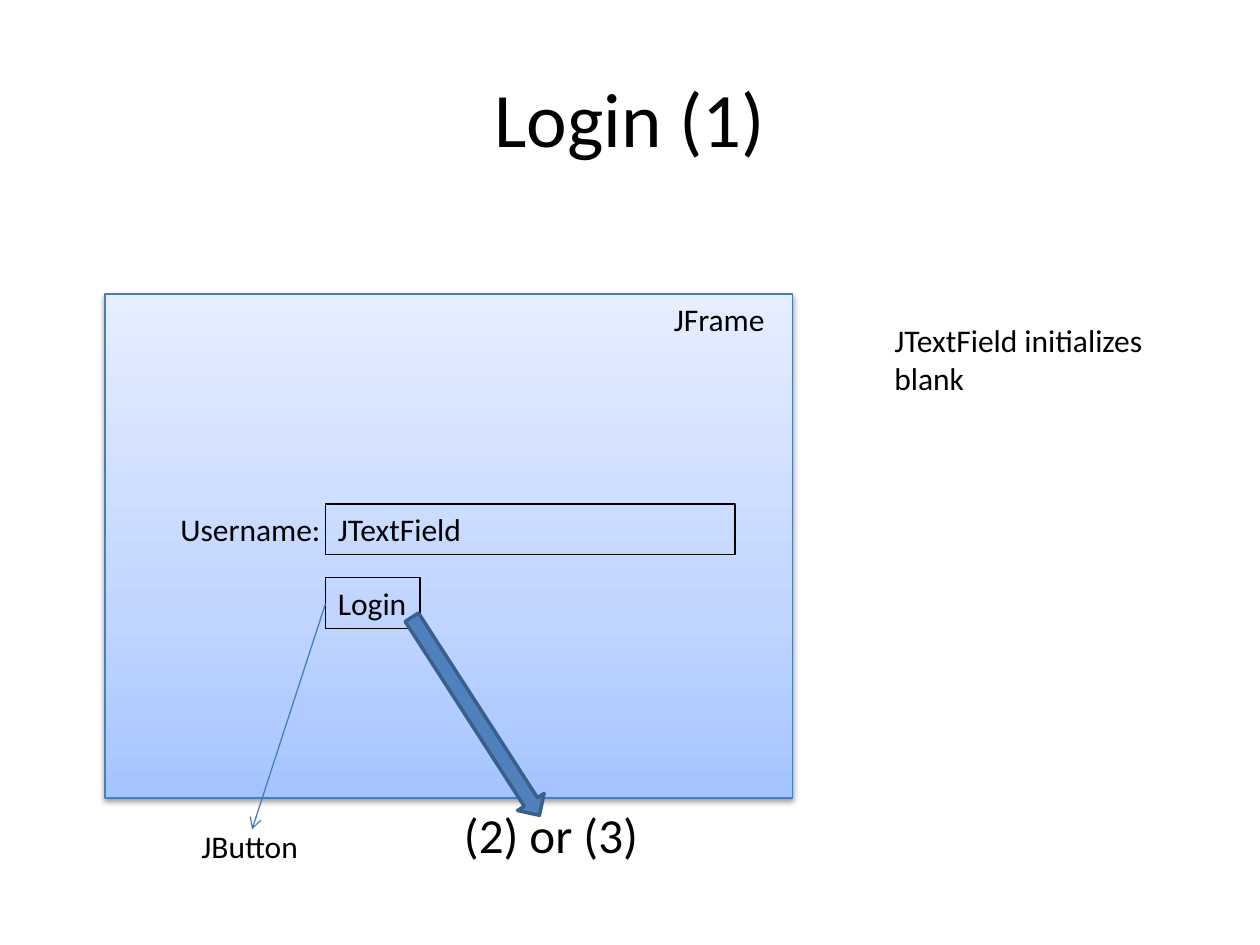
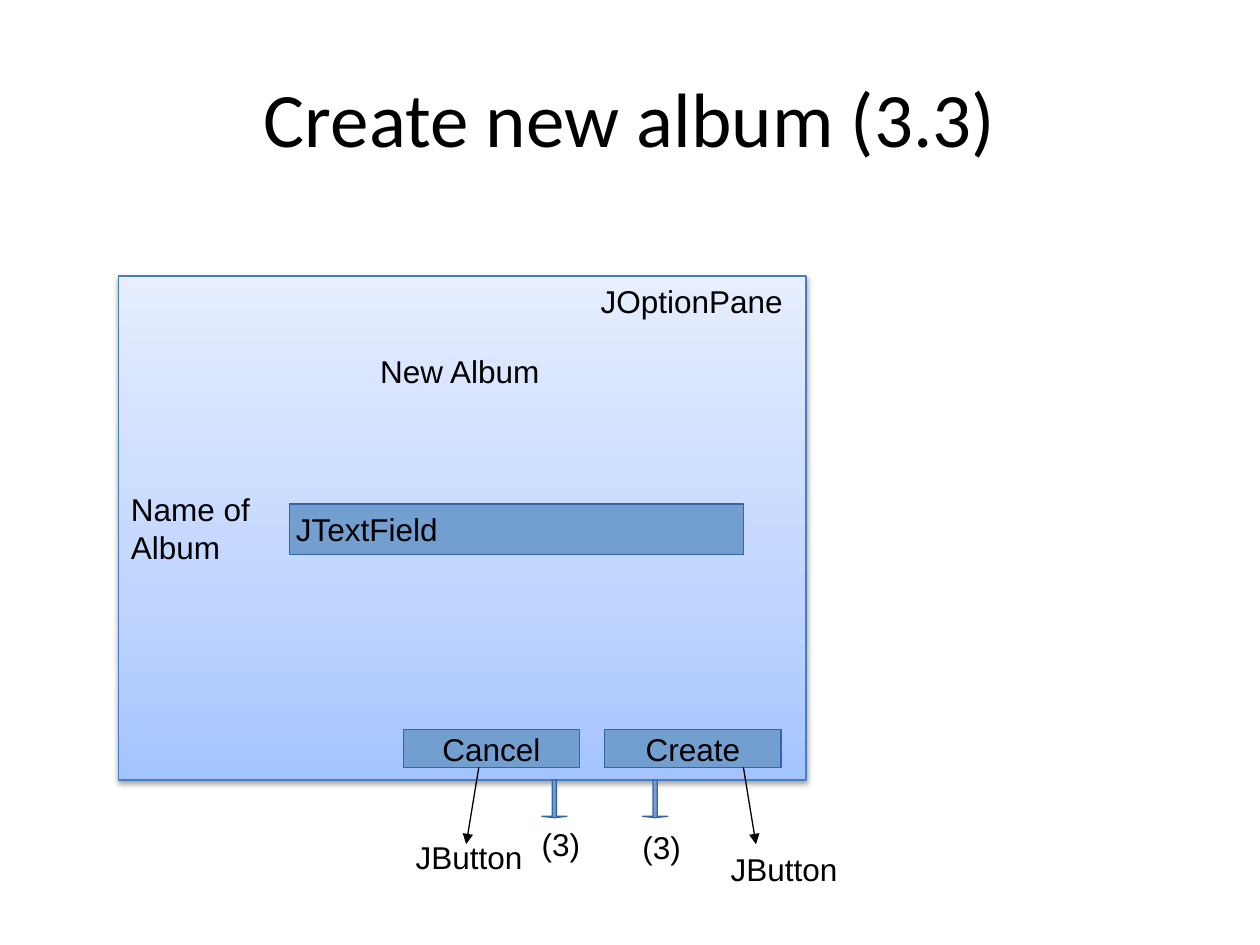
from copy import deepcopy

from lxml.etree import SubElement
from pptx import Presentation
from pptx.dml.color import RGBColor
from pptx.enum.shapes import MSO_CONNECTOR, MSO_SHAPE
from pptx.enum.text import MSO_ANCHOR, PP_ALIGN
from pptx.oxml.ns import qn
from pptx.util import Pt

BLACK = "000000"
FRAME_LINE = "4A7EBB"
FRAME_STOPS = ((0, "A4C4FF"), (0.35, "BFD4FF"), (1, "E6EEFF"))
WIDGET_FILL = "729FCF"
WIDGET_LINE = "3465A4"
ARROW_FILL = "4F81BD"
ARROW_LINE = "3A5F8C"
TITLE_FONT = "Calibri"


def color(value):
    """Turn a hex string into a colour."""
    return RGBColor.from_string(value)


def add_titled_slide(presentation, title):
    """Add a title-only slide with a centred title."""
    slide = presentation.slides.add_slide(presentation.slide_layouts[5])
    shape = slide.shapes.title
    shape.left, shape.top, shape.width, shape.height = Pt(36), Pt(21.6), Pt(648), Pt(90)
    write(shape, title, TITLE_FONT, 44, centred=True)
    return slide


def write(shape, text, font, size=18, centred=False, wrap=True):
    """Put one formatted paragraph into a shape."""
    frame = shape.text_frame
    frame.text = text
    frame.word_wrap = wrap
    frame.vertical_anchor = MSO_ANCHOR.MIDDLE if centred else MSO_ANCHOR.TOP
    paragraph = frame.paragraphs[0]
    paragraph.alignment = PP_ALIGN.CENTER if centred else PP_ALIGN.LEFT
    paragraph.font.name = font
    paragraph.font.size = Pt(size)
    paragraph.font.color.rgb = color(BLACK)


def add_label(slide, text, left, top, width, height, font, **style):
    """Add a text box."""
    shape = slide.shapes.add_textbox(Pt(left), Pt(top), Pt(width), Pt(height))
    write(shape, text, font, **style)


def add_box(slide, left, top, width, height, line, fill=None,
            kind=MSO_SHAPE.RECTANGLE, line_width=0.75):
    """Add an outlined preset shape, filled or empty."""
    shape = slide.shapes.add_shape(kind, Pt(left), Pt(top), Pt(width), Pt(height))
    shape.shadow.inherit = False
    shape.line.color.rgb = color(line)
    shape.line.width = Pt(line_width)
    if fill:
        shape.fill.solid()
        shape.fill.fore_color.rgb = color(fill)
    else:
        shape.fill.background()
    return shape


def add_window(slide, left, top):
    """Add a window frame with a gradient and a soft shadow."""
    shape = add_box(slide, left, top, 393, 288, FRAME_LINE)
    shape.fill.gradient()
    shape.fill.gradient_angle = 90
    properties = shape.element.spPr
    stops = properties.find(".//" + qn("a:gsLst"))
    stops.append(deepcopy(stops[0]))
    for stop, (position, value) in zip(shape.fill.gradient_stops, FRAME_STOPS):
        stop.position = position
        stop.color.rgb = color(value)
    shadow = SubElement(properties.find(qn("a:effectLst")), qn("a:outerShdw"),
                        blurRad=str(Pt(3.1)), dist=str(Pt(1.6)),
                        dir="5400000", rotWithShape="0")
    shadow_color = SubElement(shadow, qn("a:srgbClr"), val=BLACK)
    SubElement(shadow_color, qn("a:alpha"), val="38000")


def add_pointer(slide, start, end, line, head):
    """Add a thin line with an arrowhead at its end."""
    connector = slide.shapes.add_connector(
        MSO_CONNECTOR.STRAIGHT, *(Pt(value) for value in (*start, *end)))
    connector.line.color.rgb = color(line)
    connector.line.width = Pt(0.75)
    properties = connector.element.spPr
    SubElement(properties.find(qn("a:ln")), qn("a:tailEnd"), type=head)
    SubElement(properties, qn("a:effectLst"))


def build_login(presentation):
    """Build the login window slide."""
    font = "Calibri"
    slide = add_titled_slide(presentation, "Login (1)")
    add_window(slide, 60, 168)
    add_label(slide, "JFrame", 378, 168, 72, 29, font)
    add_label(slide, "Username:", 96, 288, 102, 29, font)
    write(add_box(slide, 186, 288, 234, 29, BLACK), "JTextField", font)
    add_label(slide, "JTextField initializes blank", 504, 180, 168, 50, font)
    write(add_box(slide, 186, 330, 54, 29, BLACK), "Login", font)
    add_pointer(slide, (186, 345), (144, 474), FRAME_LINE, "arrow")
    add_label(slide, "JButton", 108, 469, 96, 29, font)
    arrow = add_box(slide, 204.5, 400.3, 134.6, 18, ARROW_LINE, ARROW_FILL,
                    MSO_SHAPE.RIGHT_ARROW, 2)
    arrow.rotation = 57.2
    add_label(slide, "(2) or (3)", 258, 456, 156, 41, font, size=28)


def build_album(presentation):
    """Build the new album dialog slide."""
    font = "Arial"
    slide = add_titled_slide(presentation, "Create new album (3.3)")
    add_window(slide, 67.7, 157.7)
    add_label(slide, "New Album", 100.8, 193.7, 324, 36, font, centred=True, wrap=False)
    add_box(slide, 165.6, 288, 259.2, 28.8, WIDGET_LINE, WIDGET_FILL)
    for text, left in (("Create", 345.6), ("Cancel", 230.4)):
        button = add_box(slide, left, 416.9, 100.8, 21.6, WIDGET_LINE, WIDGET_FILL)
        write(button, text, font, centred=True, wrap=False)
    for left in (309.6, 367.2):
        arrow = add_box(slide, left, 445.7, 14.4, 21.6, WIDGET_LINE, WIDGET_FILL,
                        MSO_SHAPE.DOWN_ARROW)
        arrow.adjustments[0] = 0.162
        arrow.adjustments[1] = 0.054
    add_label(slide, "JOptionPane", 336.2, 157.7, 131.8, 47.5, font)
    add_label(slide, "Name of Album", 67.7, 276.5, 119.5, 47.5, font)
    add_label(slide, "JTextField", 162, 288, 129.6, 27.4, font)
    for start, end in ((273.6, 266.4), (424.8, 432)):
        add_pointer(slide, (start, 438.5), (end, 482.4), BLACK, "triangle")
    for left, top in ((360, 469.4), (302.4, 468)):
        add_label(slide, "(3)", left, top, 50.4, 27.4, font)
    for left, top in ((230.4, 475.2), (410.4, 482.4)):
        add_label(slide, "JButton", left, top, 100.8, 47.5, font)


def main():
    """Build and save the presentation."""
    presentation = Presentation()
    presentation.slide_width, presentation.slide_height = Pt(720), Pt(540)
    build_login(presentation)
    build_album(presentation)
    presentation.save("out.pptx")


main()
